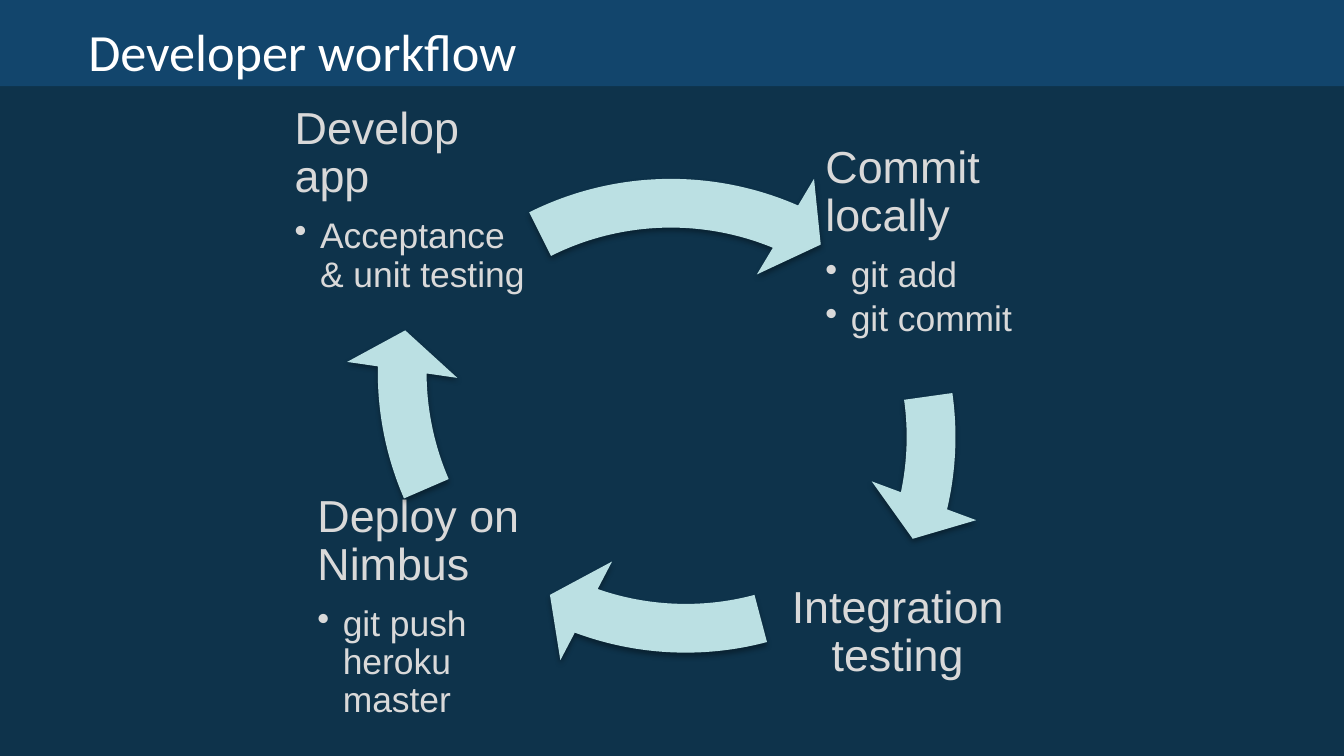
from lxml.etree import SubElement
from pptx import Presentation
from pptx.dml.color import RGBColor
from pptx.enum.shapes import MSO_SHAPE
from pptx.enum.text import MSO_ANCHOR, PP_ALIGN
from pptx.oxml.ns import qn
from pptx.util import Cm, Pt

COLORS = {
    "background": "0E334B",
    "banner": "12456C",
    "title": "FFFFFF",
    "step": "D9D9D9",
    "arrow": "BBE0E3",
    "shadow": "000000",
}

STEP_SIZE = 4.67
CYCLE_SIZE = 13.16
BAND, HEAD_ANGLE, HEAD_WIDTH = 0.07, 4.66, 0.08

# Text formats
TITLE_FONT = {"name": "Calibri", "size": Pt(28)}
HEADING_FONT = {"name": "Arial", "size": Pt(24)}
DETAIL_FONT = {"name": "Arial", "size": Pt(19)}
HEADING_SPACING = {"line_spacing": 0.9, "space_after": Pt(8.4)}
DETAIL_SPACING = {"level": 1, "line_spacing": 0.9, "space_after": Pt(2.85)}
TITLE_FRAME = {"word_wrap": True, "vertical_anchor": MSO_ANCHOR.MIDDLE}
STEP_FRAME = TITLE_FRAME | {
    f"margin_{side}": Cm(0.08) for side in ("left", "top", "right", "bottom")
}

# Heading, details, alignment, step corner, arrow corner, arrow end and start
STEPS = [
    ("Commit locally", ["git add", "git commit"], PP_ALIGN.LEFT,
     (15.52, 2.24), (5.49, 1.68), (7.57, 211.22)),
    ("Integration testing", [], PP_ALIGN.CENTER,
     (14.63, 9.63), (6.38, -0.23), (65.93, 45.08)),
    ("Deploy on Nimbus", ["git push heroku master"], PP_ALIGN.LEFT,
     (5.92, 9.14), (6.55, 0.46), (108.29, 93.93)),
    ("Develop app", ["Acceptance & unit testing"], PP_ALIGN.LEFT,
     (5.49, 1.45), (6.1, 2.79), (175.84, 146.06)),
]


def color(name):
    return RGBColor.from_string(COLORS[name])


def apply(target, values):
    for name, value in values.items():
        setattr(target, name, value)


def add_filled(slide, preset, box, fill):
    shape = slide.shapes.add_shape(preset, *map(Cm, box))
    shape.fill.solid()
    shape.fill.fore_color.rgb = color(fill)
    shape.line.fill.background()
    shape.shadow.inherit = False
    return shape


def add_frame(slide, box, values):
    frame = slide.shapes.add_textbox(*map(Cm, box)).text_frame
    apply(frame, values)
    return frame


def write(paragraph, text, font, ink, spacing):
    apply(paragraph, spacing)
    run = paragraph.add_run()
    run.text = text
    apply(run.font, font)
    run.font.color.rgb = color(ink)


def add_bullet(paragraph):
    properties = paragraph._p.get_or_add_pPr()
    properties.set("marL", str(Cm(0.48)))
    properties.set("indent", str(-Cm(0.48)))
    SubElement(properties, qn("a:buChar"), char="•")


def add_step(slide, heading, details, alignment, corner):
    frame = add_frame(slide, (*corner, STEP_SIZE, STEP_SIZE), STEP_FRAME)
    write(frame.paragraphs[0], heading, HEADING_FONT, "step",
          HEADING_SPACING | {"alignment": alignment})
    for detail in details:
        paragraph = frame.add_paragraph()
        add_bullet(paragraph)
        write(paragraph, detail, DETAIL_FONT, "step", DETAIL_SPACING)


def add_soft_shadow(shape):
    effects = shape._element.spPr.find(qn("a:effectLst"))
    shadow = SubElement(effects, qn("a:outerShdw"), blurRad=str(Pt(3.1)),
                        dist=str(Pt(1.8)), dir="5400000", rotWithShape="0")
    tint = SubElement(shadow, qn("a:srgbClr"), val=COLORS["shadow"])
    SubElement(tint, qn("a:alpha"), val="35000")


def add_cycle_arrow(slide, corner, angles):
    arrow = add_filled(slide, MSO_SHAPE.CIRCULAR_ARROW,
                       (*corner, CYCLE_SIZE, CYCLE_SIZE), "arrow")
    for index, value in enumerate((BAND, HEAD_ANGLE, *angles, HEAD_WIDTH)):
        arrow.adjustments[index] = value
    add_soft_shadow(arrow)


def main():
    deck = Presentation()
    deck.slide_width, deck.slide_height = Cm(25.4), Cm(14.29)
    slide = deck.slides.add_slide(deck.slide_layouts[6])
    slide.background.fill.solid()
    slide.background.fill.fore_color.rgb = color("background")

    # Banner and title
    add_filled(slide, MSO_SHAPE.RECTANGLE, (0, 0, 25.4, 1.63), "banner")
    title = add_frame(slide, (1.42, 0.13, 22.86, 1.65), TITLE_FRAME)
    write(title.paragraphs[0], "Developer workflow", TITLE_FONT, "title", {})

    # Cycle of steps, each followed by its arrow
    for heading, details, alignment, corner, arrow_corner, angles in STEPS:
        add_step(slide, heading, details, alignment, corner)
        add_cycle_arrow(slide, arrow_corner, angles)

    deck.save("out.pptx")


if __name__ == "__main__":
    main()
